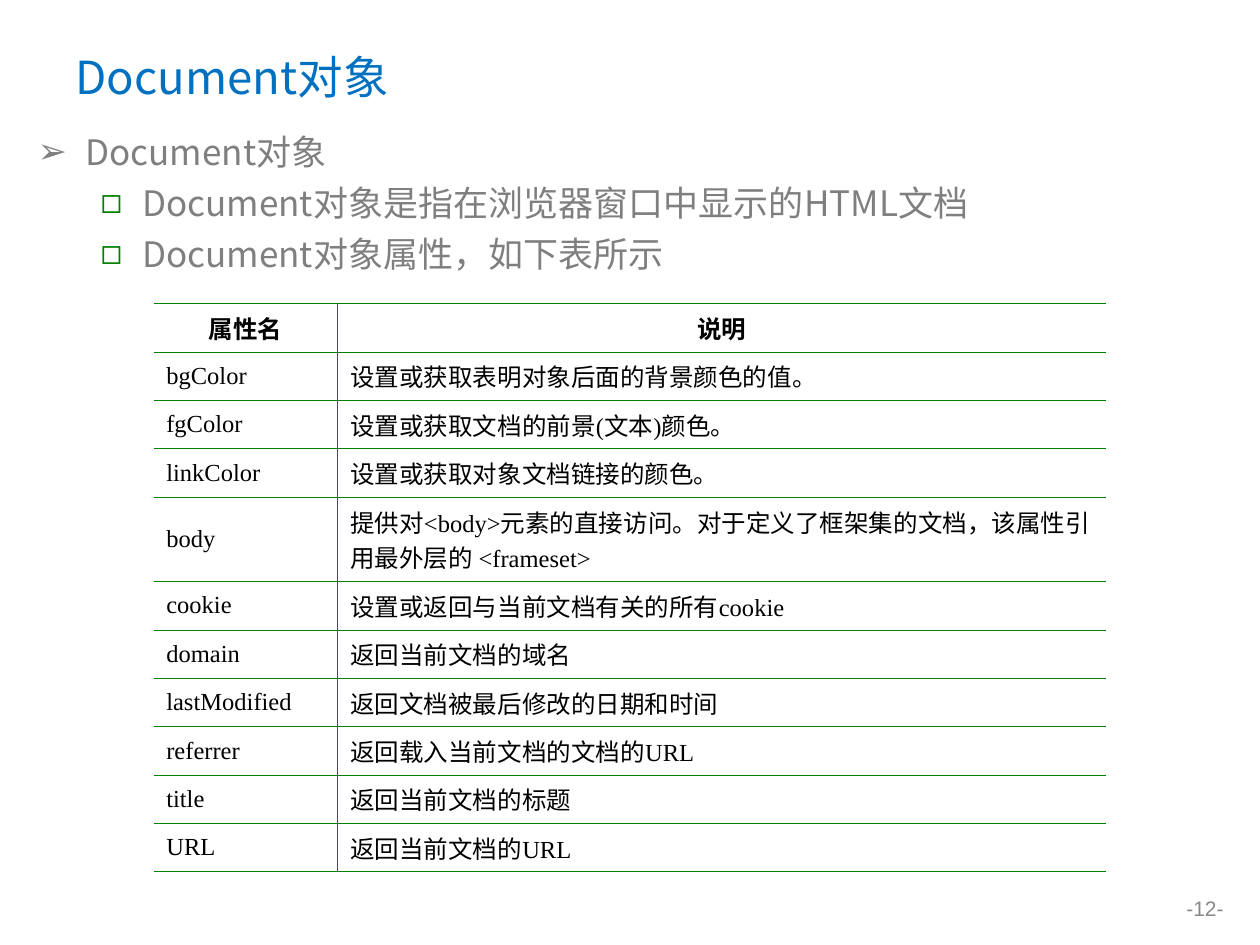
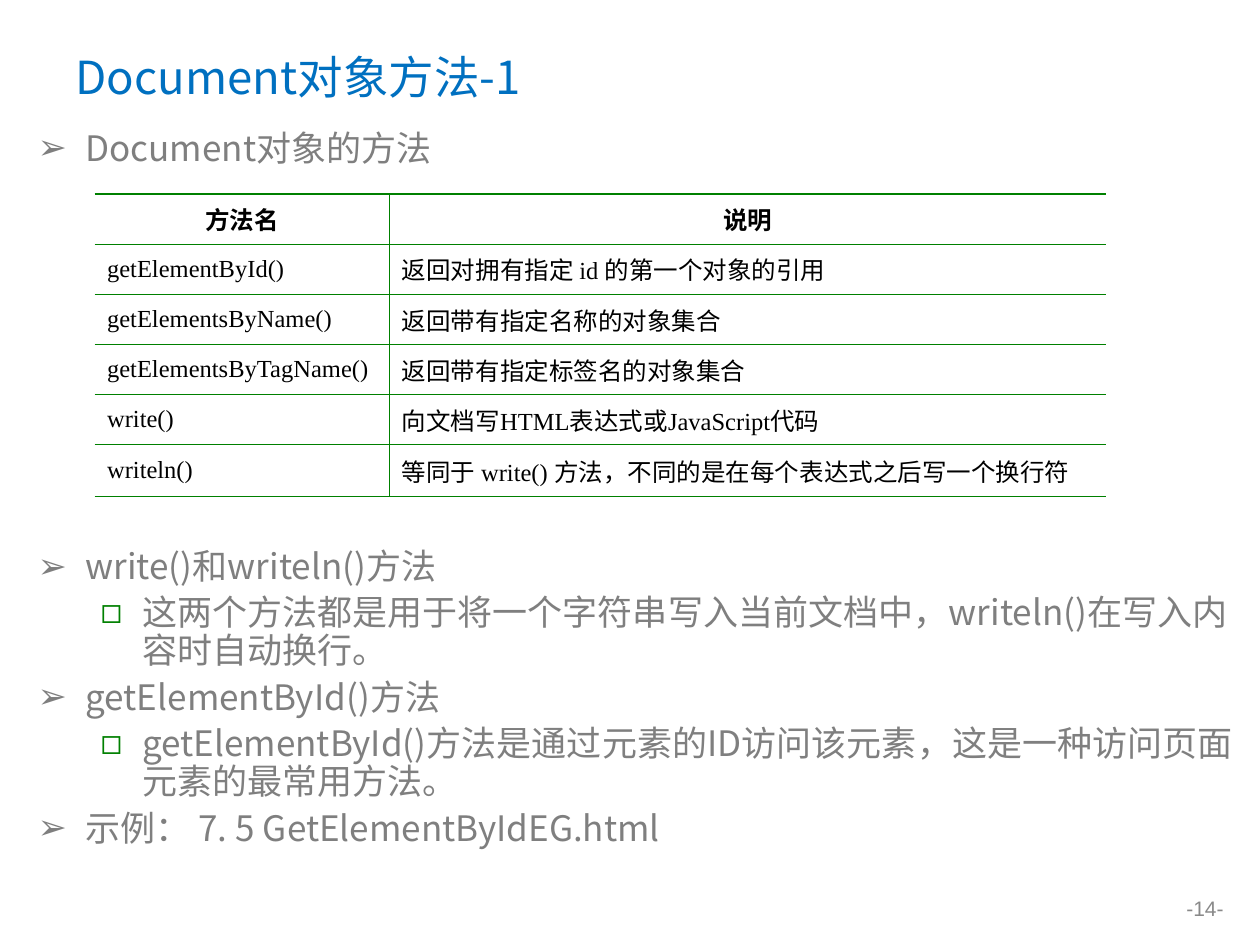
from lxml.etree import SubElement
from pptx import Presentation
from pptx.dml.color import RGBColor
from pptx.enum.text import MSO_ANCHOR as Anchor, PP_ALIGN as Align
from pptx.oxml.ns import qn
from pptx.util import Inches, Pt

# Shared look
COLORS = {"title": "0070C0", "body": "7F7F7F", "green": "008000",
          "cell": "000000", "number": "898989"}
SANS, SERIF, FOOT = "Noto Sans CJK SC", "Times New Roman", "Arial"
BODY_LEFT, BODY_WIDTH, BODY_BOTTOM = 0.2, 9.69, 6.98
# Per level: bullet, bullet colour, text margin, hanging indent
LEVELS = [("➢", "body", 0.38, 0.38), ("◻", "green", 0.83, 0.33)]
THIN, THICK = 0.45, 0.75

# Content: lists are (top, [(level, text), ...]); "tall" is (row, height),
# and the other rows of a table share the rest of its height
PAGES = [
    {
        "title": "Document对象",
        "number": "-12-",
        "spacing": 1.0,
        "lists": [(0.99, [
            (0, "Document对象"),
            (1, "Document对象是指在浏览器窗口中显示的HTML文档"),
            (1, "Document对象属性，如下表所示"),
        ])],
        "table": {
            "left": 1.22, "top": 2.41, "columns": [1.46, 6.1],
            "height": 4.51, "tall": (4, 0.67),
            "rows": [
                ("属性名", "说明"),
                ("bgColor", "设置或获取表明对象后面的背景颜色的值。"),
                ("fgColor", "设置或获取文档的前景(文本)颜色。"),
                ("linkColor", "设置或获取对象文档链接的颜色。"),
                ("body", "提供对<body>元素的直接访问。对于定义了框架集的文档，"
                         "该属性引用最外层的 <frameset>"),
                ("cookie", "设置或返回与当前文档有关的所有cookie"),
                ("domain", "返回当前文档的域名"),
                ("lastModified", "返回文档被最后修改的日期和时间"),
                ("referrer", "返回载入当前文档的文档的URL"),
                ("title", "返回当前文档的标题"),
                ("URL", "返回当前文档的URL"),
            ],
        },
    },
    {
        "title": "Document对象方法-1",
        "number": "-14-",
        "spacing": 0.9,
        "lists": [
            (0.99, [(0, "Document对象的方法")]),
            (4.31, [
                (0, "write()和writeln()方法"),
                (1, "这两个方法都是用于将一个字符串写入当前文档中，"
                    "writeln()在写入内容时自动换行。"),
                (0, "getElementById()方法"),
                (1, "getElementById()方法是通过元素的ID访问该元素，"
                    "这是一种访问页面元素的最常用方法。"),
                (0, "示例： 7. 5 GetElementByIdEG.html"),
            ]),
        ],
        "table": {
            "left": 0.75, "top": 1.54, "columns": [2.34, 5.69],
            "height": 2.4, "tall": (5, 0.41),
            "rows": [
                ("方法名", "说明"),
                ("getElementById()", "返回对拥有指定 id 的第一个对象的引用"),
                ("getElementsByName()", "返回带有指定名称的对象集合"),
                ("getElementsByTagName()", "返回带有指定标签名的对象集合"),
                ("write()", "向文档写HTML表达式或JavaScript代码"),
                ("writeln()", "等同于 write() 方法，不同的是在每个表达式之后写一个换行符"),
            ],
        },
    },
]


def write(para, text, *, size, color, font=SANS, bold=False, align=Align.LEFT):
    """Put one formatted run into a paragraph."""
    para.alignment = align
    span = para.add_run()
    span.text = text
    span.font.size, span.font.bold, span.font.name = Pt(size), bold, font
    span.font.color.rgb = RGBColor.from_string(COLORS[color])
    east = font if font == FOOT else SANS
    SubElement(span._r.rPr, qn("a:ea"), typeface=east)


def add_box(page, left, top, width, height, anchor=Anchor.TOP):
    box = page.shapes.add_textbox(*map(Inches, (left, top, width, height)))
    box.text_frame.word_wrap = True
    box.text_frame.vertical_anchor = anchor
    return box.text_frame


def set_bullet(para, level):
    mark, color, margin, hanging = LEVELS[level]
    props = para._p.get_or_add_pPr()
    props.set("marL", str(Inches(margin)))
    props.set("indent", str(-Inches(hanging)))
    tint = SubElement(props, qn("a:buClr"))
    SubElement(tint, qn("a:srgbClr"), val=COLORS[color])
    SubElement(props, qn("a:buFont"), typeface=FOOT)
    SubElement(props, qn("a:buChar"), char=mark)


def add_list(page, top, items, spacing):
    frame = add_box(page, BODY_LEFT, top, BODY_WIDTH, BODY_BOTTOM - top)
    for index, (level, text) in enumerate(items):
        para = frame.add_paragraph() if index else frame.paragraphs[0]
        para.level = level
        set_bullet(para, level)
        para.line_spacing = spacing
        if index:
            para.space_before = Pt(5)
        write(para, text, size=20, color="body")


def set_borders(cell, widths):
    """Draw the given sides in green and leave the others open."""
    props = cell._tc.get_or_add_tcPr()
    for side in ("L", "R", "T", "B"):
        width = widths.get(side, 0)
        line = SubElement(props, qn(f"a:ln{side}"), w=str(Pt(width)))
        if width:
            fill = SubElement(line, qn("a:solidFill"))
            SubElement(fill, qn("a:srgbClr"), val=COLORS["green"])
        else:
            SubElement(line, qn("a:noFill"))


def add_grid(page, left, top, columns, height, tall, rows):
    size = (left, top, sum(columns), height)
    table = page.shapes.add_table(len(rows), len(columns), *map(Inches, size)).table
    table.first_row = table.horz_banding = False
    for column, width in zip(table.columns, columns):
        column.width = Inches(width)
    tall_row, tall_height = tall
    row_height = (height - tall_height) / (len(rows) - 1)
    for r, texts in enumerate(rows):
        table.rows[r].height = Inches(tall_height if r == tall_row else row_height)
        header = r == 0
        for c, text in enumerate(texts):
            cell = table.cell(r, c)
            cell.vertical_anchor = Anchor.MIDDLE
            write(cell.text_frame.paragraphs[0], text, size=14, color="cell",
                  font=SERIF, bold=header,
                  align=Align.CENTER if header else Align.LEFT)
            set_borders(cell, {
                "T": THICK if header else THIN,
                "B": THICK if r == len(rows) - 1 else THIN,
                "L" if c else "R": THIN,
            })
            cell.fill.background()


def build_page(deck, content):
    page = deck.slides.add_slide(deck.slide_layouts[6])
    # Title
    frame = add_box(page, 0.5, 0.3, 9, 0.61, Anchor.MIDDLE)
    write(frame.paragraphs[0], content["title"], size=26, color="title")
    # Bulleted text and table
    for top, items in content["lists"]:
        add_list(page, top, items, content["spacing"])
    add_grid(page, **content["table"])
    # Page number
    frame = add_box(page, 9.1, 7.06, 0.71, 0.29, Anchor.MIDDLE)
    write(frame.paragraphs[0], content["number"], size=12, color="number",
          font=FOOT, align=Align.RIGHT)


def main():
    deck = Presentation()
    deck.slide_width, deck.slide_height = Inches(10), Inches(7.5)
    for content in PAGES:
        build_page(deck, content)
    deck.save("out.pptx")


if __name__ == "__main__":
    main()
